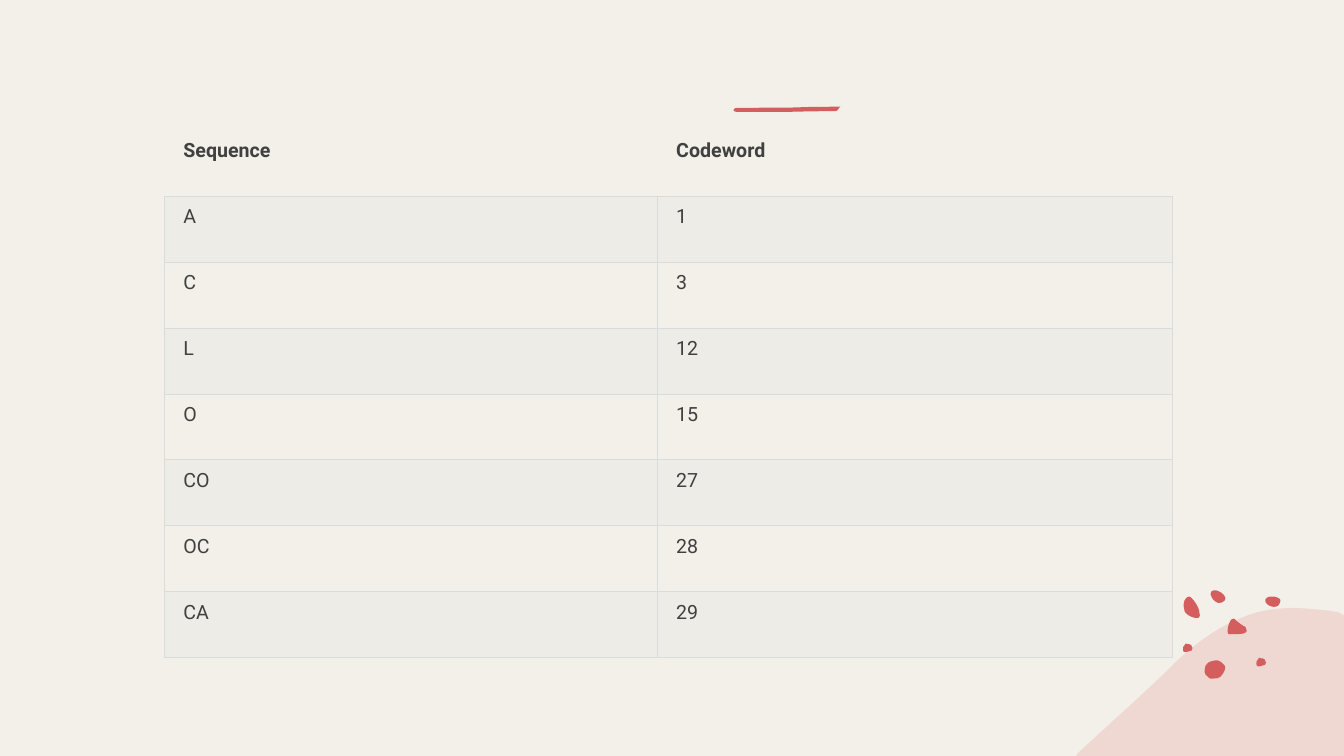
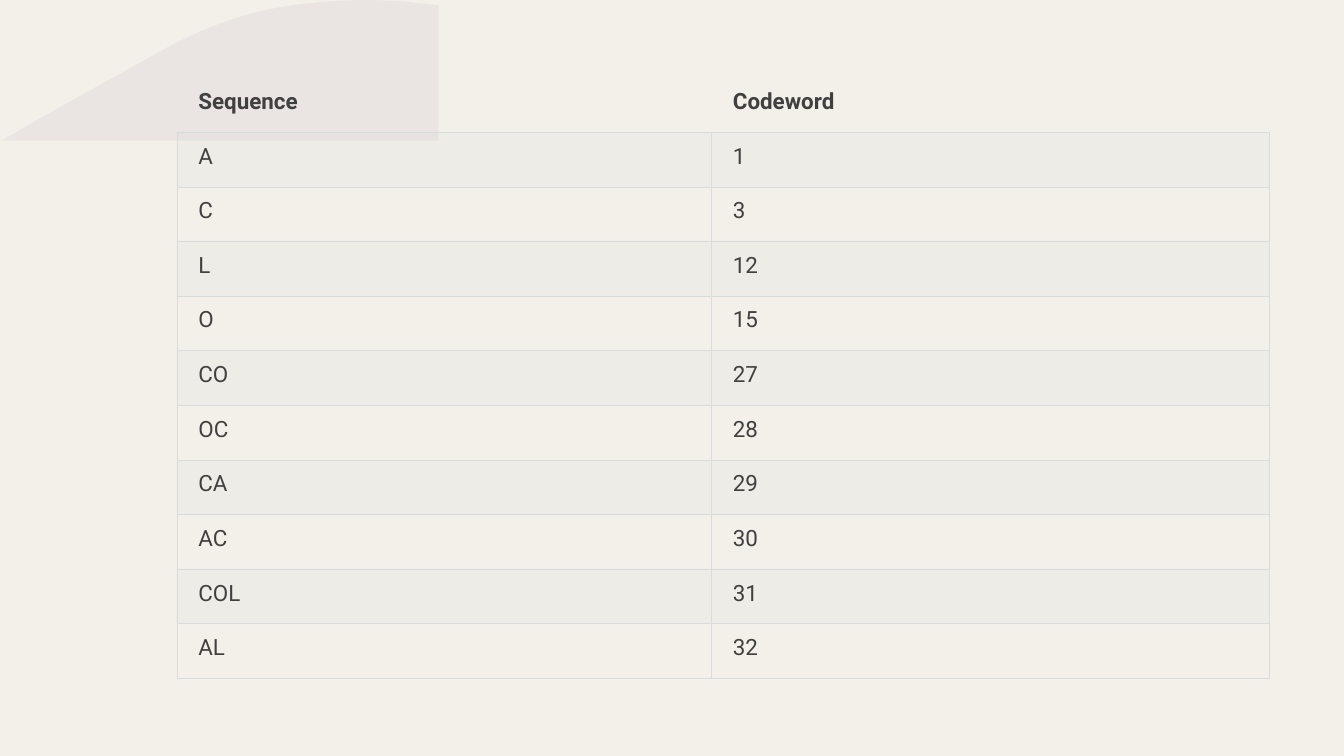
from lxml import etree
from pptx import Presentation
from pptx.dml.color import RGBColor
from pptx.oxml.ns import qn
from pptx.util import Cm, Pt

CREAM = RGBColor(0xF3, 0xF0, 0xE9)
RED = RGBColor(0xD4, 0x5E, 0x5E)
PINK = RGBColor(0xEE, 0xD8, 0xD1)
LILAC = RGBColor(0xD2, 0xC4, 0xD0)
BAND = RGBColor(0xD8, 0xDE, 0xDC)
RULE = RGBColor(0xD8, 0xDC, 0xDC)
INK = RGBColor(0x40, 0x40, 0x40)
FONT = "Roboto"

SLIDE_WIDTH, SLIDE_HEIGHT = 33.87, 19.05
BLANK_LAYOUT = 6
CURVE_STEPS = 10

# Outlines in percent of their box: a pair is a line, six numbers are a cubic curve
HILL = [(83, 0), (88, 1, 93, 1, 98, 3), (100, 5), (100, 100), (0, 100), (0, 99),
        (13, 77, 27, 55, 38, 35), (47, 20, 55, 11, 64, 5), (70, 1, 76, 0, 83, 0)]
CORNER = [(17, 100), (12, 100, 7, 99, 2, 97), (0, 96), (0, 0), (100, 0), (99, 1),
          (87, 23, 74, 45, 62, 66), (53, 81, 45, 90, 36, 95), (30, 98, 23, 100, 17, 100)]
STROKE = [(2, 25), (28, 20), (50, 20), (71, 5), (93, 0), (100, 0),
          (97, 35, 99, 95, 93, 85), (71, 90), (50, 100), (3, 100), (-2, 90, 0, 40, 2, 25)]
BEAN = [(57, 100), (64, 100, 79, 100, 86, 92), (100, 85, 107, 69, 100, 54),
        (93, 31, 43, -8, 14, 8), (7, 8, 0, 23, 0, 38), (7, 54, 14, 77, 29, 85),
        (36, 92, 43, 100, 57, 100)]
PETAL = [(81, 95), (88, 95, 100, 95, 100, 86), (106, 86, 100, 82, 100, 77),
         (100, 55, 81, 32, 62, 14), (50, 5, 38, -9, 19, 5), (0, 18, 0, 41, 6, 55),
         (6, 68, 19, 77, 31, 82), (38, 86, 62, 95, 81, 95)]
OVAL = [(53, 100), (73, 100, 87, 90, 93, 60), (100, 40, 100, 20, 80, 10),
        (60, -10, 13, -10, 0, 20), (-7, 40, 0, 60, 7, 70), (20, 90, 40, 100, 53, 100)]
STONE = [(5, 33), (5, 39, -5, 67, 10, 83), (25, 94, 20, 100, 35, 100),
         (50, 100, 70, 100, 80, 89), (90, 78, 110, 50, 100, 28), (85, 11, 80, 6, 65, 0),
         (50, 0, 25, 6, 15, 17), (10, 28, 5, 28, 5, 33)]
DOT = [(0, 38), (0, 38, -11, 88, 11, 100), (33, 100, 44, 100, 67, 88),
       (89, 88, 100, 75, 100, 50), (100, 38, 89, 25, 89, 13), (78, 13, 78, 0, 56, 0),
       (44, 0, 22, -13, 22, 0), (11, 25, 0, 25, 0, 38)]
WEDGE = [(32, 100), (63, 100, 116, 100, 95, 60), (95, 53, 89, 47, 84, 47),
         (68, 33, 53, 20, 42, 7), (37, 0, 32, -7, 26, 0), (21, 0, 16, 7, 16, 7),
         (5, 33, 0, 53, 0, 80), (0, 87, 0, 93, 5, 100), (32, 100)]

# Offsets and sizes in cm inside the pebble cluster
PEBBLES = [(BEAN, (0.69, 0, 0.36, 0.33)), (PETAL, (0, 0.18, 0.41, 0.56)),
           (OVAL, (2.08, 0.18, 0.38, 0.25)), (STONE, (0.53, 1.78, 0.51, 0.46)),
           (DOT, (1.85, 1.73, 0.23, 0.2)), (DOT, (0, 1.37, 0.23, 0.2)),
           (WEDGE, (1.12, 0.74, 0.48, 0.38))]

HEADINGS = ("Sequence", "Codeword")
CODES = [("A", "1"), ("C", "3"), ("L", "12"), ("O", "15"), ("CO", "27"),
         ("OC", "28"), ("CA", "29"), ("AC", "30"), ("COL", "31"), ("AL", "32")]


def set_attributes(target, **values):
    for name, value in values.items():
        setattr(target, name, value)


def set_opacity(solid_fill, percent):
    alpha = etree.SubElement(solid_fill.find(qn("a:srgbClr")), qn("a:alpha"))
    alpha.set("val", str(percent * 1000))


def flatten(outline):
    """Turn lines and cubic curves into a list of points."""
    points = [outline[0]]
    for segment in outline[1:]:
        if len(segment) == 2:
            points.append(segment)
            continue
        nodes = [points[-1], segment[:2], segment[2:4], segment[4:]]
        for step in range(1, CURVE_STEPS + 1):
            t = step / CURVE_STEPS
            weights = ((1 - t) ** 3, 3 * t * (1 - t) ** 2, 3 * t * t * (1 - t), t ** 3)
            points.append(tuple(sum(w * node[axis] for w, node in zip(weights, nodes))
                                for axis in (0, 1)))
    return points


def add_outline(shapes, outline, box, color, opacity=100, rotation=0):
    left, top, width, height = box
    points = [(Cm(left + width * x / 100), Cm(top + height * y / 100))
              for x, y in flatten(outline)]
    builder = shapes.build_freeform(*points[0])
    builder.add_line_segments(points[1:], close=True)
    shape = builder.convert_to_shape()
    shape.shadow.inherit = False
    shape.rotation = rotation
    shape.fill.solid()
    shape.fill.fore_color.rgb = color
    shape.line.fill.background()
    if opacity < 100:
        set_opacity(shape.element.spPr.find(qn("a:solidFill")), opacity)


def add_pebbles(slide, left, top):
    group = slide.shapes.add_group_shape()
    for outline, (x, y, width, height) in PEBBLES:
        add_outline(group.shapes, outline, (left + x, top + y, width, height), RED)


def set_borders(cell, visible):
    """Draw the named sides and hide the others."""
    properties = cell._tc.get_or_add_tcPr()
    for position, side in enumerate("LRTB"):
        line = etree.Element(qn(f"a:ln{side}"), w=str(Pt(0.75)))
        if side in visible:
            fill = etree.SubElement(line, qn("a:solidFill"))
            etree.SubElement(fill, qn("a:srgbClr"), val=str(RULE))
        else:
            etree.SubElement(line, qn("a:noFill"))
        properties.insert(position, line)


def format_cell(cell, text, row_index, size, margins):
    is_header = row_index == 0
    set_attributes(cell, text=text, **margins)
    if row_index % 2:
        cell.fill.solid()
        cell.fill.fore_color.rgb = BAND
        set_opacity(cell._tc.tcPr.find(qn("a:solidFill")), 20)
    else:
        cell.fill.background()
    set_borders(cell, "B" if is_header else "LRTB")
    font = cell.text_frame.paragraphs[0].runs[0].font
    set_attributes(font, name=FONT, size=Pt(size), bold=is_header)
    font.color.rgb = INK


def add_code_table(slide, box, first_width, codes, size, margins):
    left, top, width, height = box
    rows = [HEADINGS, *codes]
    frame = slide.shapes.add_table(len(rows), 2, Cm(left), Cm(top), Cm(width), Cm(height))
    table = frame.table
    set_attributes(table, first_row=False, horz_banding=False)
    for column, column_width in zip(table.columns, (first_width, width - first_width)):
        column.width = Cm(column_width)
    for row_index, values in enumerate(rows):
        table.rows[row_index].height = Cm(height / len(rows))
        for column_index, text in enumerate(values):
            format_cell(table.cell(row_index, column_index), text, row_index, size, margins)


def build_short_slide(slide):
    add_outline(slide.shapes, STROKE, (18.49, 2.69, 2.69, 0.13), RED)
    hill_left, hill_top = 27.13, 15.32
    add_outline(slide.shapes, HILL, (hill_left, hill_top, SLIDE_WIDTH - hill_left,
                                     SLIDE_HEIGHT - hill_top), PINK)
    add_pebbles(slide, 29.82, 14.86)
    margins = {"margin_left": Cm(0.48), "margin_right": Cm(0.23),
               "margin_top": Cm(0.23), "margin_bottom": Cm(0.23)}
    add_code_table(slide, (4.14, 3.28, 25.4, 13.3), 12.42, CODES[:7], 14, margins)


def build_long_slide(slide):
    add_outline(slide.shapes, CORNER, (0, 0, 11.05, 3.54), LILAC, opacity=25, rotation=180)
    margins = {"margin_left": Cm(0.54), "margin_right": Cm(0.38),
               "margin_top": Cm(0.28), "margin_bottom": Cm(0.28)}
    add_code_table(slide, (4.46, 1.96, 27.53, 15.14), 13.47, CODES, 16, margins)


def main():
    presentation = Presentation()
    set_attributes(presentation, slide_width=Cm(SLIDE_WIDTH), slide_height=Cm(SLIDE_HEIGHT))
    # Shared background
    background = presentation.slide_master.background.fill
    background.solid()
    background.fore_color.rgb = CREAM
    layout = presentation.slide_layouts[BLANK_LAYOUT]
    for build in (build_short_slide, build_long_slide):
        build(presentation.slides.add_slide(layout))
    presentation.save("out.pptx")


if __name__ == "__main__":
    main()
